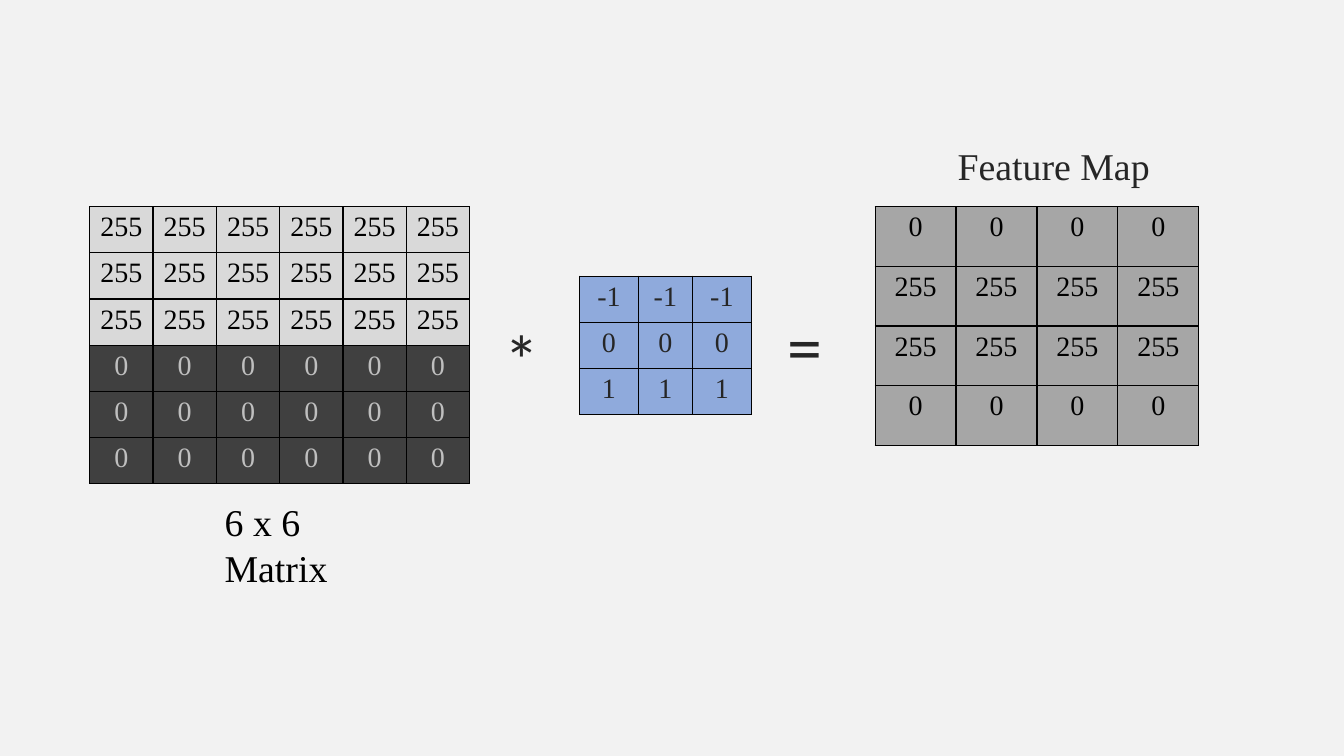
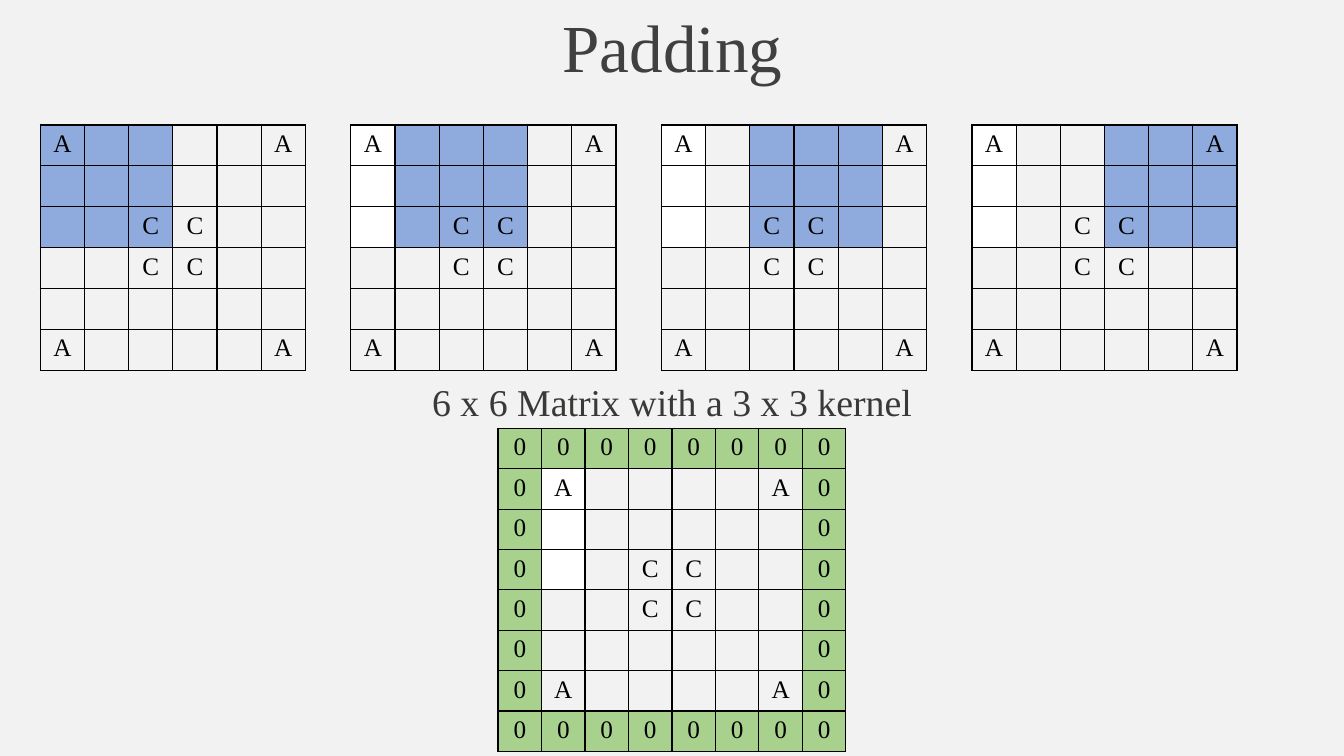
from lxml import etree
from pptx import Presentation
from pptx import util as u
from pptx.dml import color as c
from pptx.enum import text as t
from pptx.oxml import ns

SERIF, SANS = "Times New Roman", "Calibri"
PAPER, WHITE, BLACK = "F2F2F2", "FFFFFF", "000000"
LIGHT, DARK, MIDDLE, PALE = "D9D9D9", "404040", "A6A6A6", "BFBFBF"
BLUE, GREEN, INK, BROWN = "8FAADC", "A9D18E", "262626", "3B3838"
LEFT, CENTER = t.PP_ALIGN.LEFT, t.PP_ALIGN.CENTER


def rgb(value):
    """Turn a hex string into a colour."""
    return c.RGBColor.from_string(value)


def apply(target, formats):
    """Set each attribute named in a dict of format values."""
    for name, value in formats.items():
        setattr(target, name, value)


def write(frame, words, size, color, face=SERIF, align=LEFT):
    """Fill a text frame with one formatted paragraph."""
    para = frame.paragraphs[0]
    para.alignment = align
    span = para.add_run()
    span.text = words
    apply(span.font, {"size": u.Pt(size), "name": face, "bold": False})
    span.font.color.rgb = rgb(color)


def add_label(page, box, words, size, color, face=SERIF, align=LEFT):
    """Add a wrapping text box."""
    frame = page.shapes.add_textbox(*map(u.Inches, box)).text_frame
    apply(frame, {"word_wrap": True,
                  "auto_size": t.MSO_AUTO_SIZE.SHAPE_TO_FIT_TEXT})
    write(frame, words, size, color, face, align)


def add_title(page, box, words):
    """Place and format the title placeholder."""
    title = page.shapes.title
    sides = ("left", "top", "width", "height")
    apply(title, dict(zip(sides, map(u.Inches, box))))
    apply(title.text_frame, {"word_wrap": True,
                             "auto_size": t.MSO_AUTO_SIZE.NONE,
                             "vertical_anchor": t.MSO_ANCHOR.TOP})
    write(title.text_frame, words, 48, DARK, align=CENTER)


def add_borders(cell):
    """Draw a thin black line on all four sides of a cell."""
    props = cell._tc.get_or_add_tcPr()
    for side in ("a:lnL", "a:lnR", "a:lnT", "a:lnB"):
        line = etree.SubElement(props, ns.qn(side), w=str(u.Pt(1)))
        fill = etree.SubElement(line, ns.qn("a:solidFill"))
        etree.SubElement(fill, ns.qn("a:srgbClr"), val=BLACK)


def add_matrix(page, box, values, fills, size, color_of, widths=None):
    """Draw a bordered matrix of values in a box."""
    rows, cols = len(values), len(values[0])
    table = page.shapes.add_table(rows, cols, *map(u.Inches, box)).table
    apply(table, {"first_row": False, "horz_banding": False})
    for column, width in zip(table.columns, widths or [box[2] / cols] * cols):
        column.width = u.Inches(width)
    for row in table.rows:
        row.height = u.Inches(box[3] / rows)
    for r in range(rows):
        for col in range(cols):
            cell, fill = table.cell(r, col), fills[r][col]
            add_borders(cell)
            if fill:
                cell.fill.solid()
                cell.fill.fore_color.rgb = rgb(fill)
            else:
                cell.fill.background()
            if values[r][col]:
                write(cell.text_frame, values[r][col], size, color_of(fill),
                      align=CENTER)


def uniform(rows, cols, value):
    """Make a grid that holds one value."""
    return [[value] * cols for _ in range(rows)]


def paint(grid, top, left, rows, cols, value):
    """Set a rectangular block of a grid to one value."""
    for r in range(top, top + rows):
        grid[r][left:left + cols] = [value] * cols


def marked_grid(margin=0):
    """Return values and fills of a 6 x 6 matrix inside an optional margin."""
    side = 6 + 2 * margin
    values = uniform(side, side, "0")
    fills = uniform(side, side, GREEN)
    paint(values, margin, margin, 6, 6, "")
    paint(fills, margin, margin, 6, 6, None)
    for r in (0, 5):
        for col in (0, 5):
            values[margin + r][margin + col] = "A"
    paint(values, margin + 2, margin + 2, 2, 2, "C")
    paint(fills, margin, margin, 3, 1, WHITE)
    return values, fills


def add_kernel_steps(page, box, pitch):
    """Draw four matrices with the kernel one column further each time."""
    left, *rest = box
    for step in range(4):
        values, fills = marked_grid()
        paint(fills, 0, step, 3, 3, BLUE)
        add_matrix(page, (left + step * pitch, *rest), values, fills, 18,
                   lambda fill: BLACK)


def build_convolution(deck):
    """Build the slide that multiplies a matrix by a kernel."""
    page = deck.slides.add_slide(deck.slide_layouts[6])
    add_label(page, (7.71, 2.95, 0.68, 0.94), "=", 50, INK, SANS)
    add_label(page, (9.4, 1.37, 2.93, 0.56), "Feature Map", 27, INK)
    add_matrix(page, (8.68, 2.05, 3.21, 2.37),
               [[value] * 4 for value in ("0", "255", "255", "0")],
               uniform(4, 4, MIDDLE), 20, lambda fill: BLACK)
    add_matrix(page, (5.75, 2.74, 1.7, 1.37),
               [[value] * 3 for value in ("-1", "0", "1")],
               uniform(3, 3, BLUE), 20, lambda fill: INK, (0.58, 0.54, 0.58))
    add_matrix(page, (0.89, 2.05, 3.77, 2.75),
               uniform(3, 6, "255") + uniform(3, 6, "0"),
               uniform(3, 6, LIGHT) + uniform(3, 6, DARK), 20,
               lambda fill: PALE if fill == DARK else BLACK)
    add_label(page, (4.91, 3.08, 0.58, 0.94), "*", 50, INK, SANS)
    add_label(page, (2.13, 4.9, 1.94, 1.01), "6 x 6 Matrix", 27, BLACK)


def build_padding(deck):
    """Build the slide that shows kernel steps and a padded matrix."""
    page = deck.slides.add_slide(deck.slide_layouts[5])
    add_title(page, (4.91, 0, 3.52, 0.91), "Padding")
    add_kernel_steps(page, (0.4, 1.24, 2.63, 2.41), 3.08)
    add_label(page, (3.7, 3.71, 5.93, 0.56),
              "6 x 6 Matrix with a 3 x 3 kernel", 27, BROWN, align=CENTER)
    add_matrix(page, (4.94, 4.25, 3.45, 3.2), *marked_grid(1), 18,
               lambda fill: BLACK)


def main():
    """Create and save the deck."""
    deck = Presentation()
    apply(deck, {"slide_width": u.Inches(13.33),
                 "slide_height": u.Inches(7.5)})
    backdrop = deck.slide_master.background.fill
    backdrop.solid()
    backdrop.fore_color.rgb = rgb(PAPER)
    build_convolution(deck)
    build_padding(deck)
    deck.save("out.pptx")


if __name__ == "__main__":
    main()
